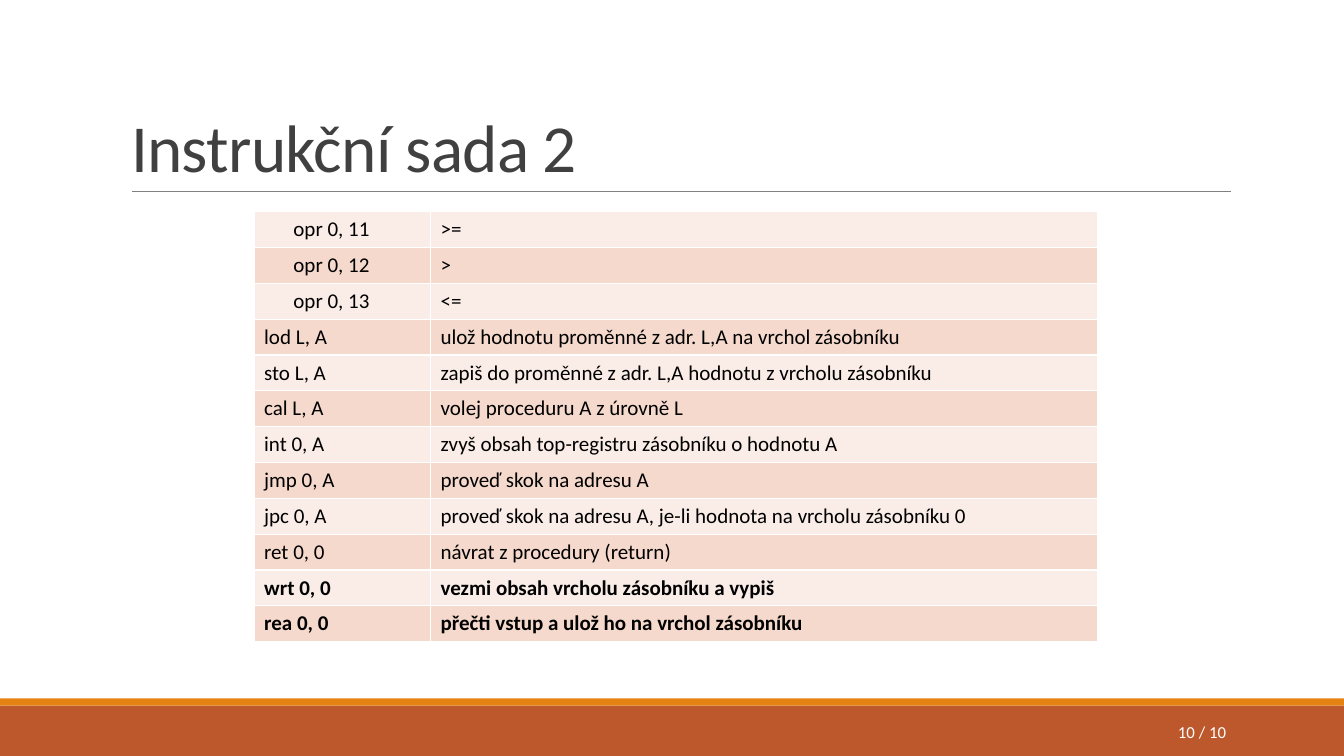
from dataclasses import dataclass

from lxml import etree
from pptx import Presentation
from pptx.dml.color import RGBColor
from pptx.enum.shapes import MSO_CONNECTOR, MSO_SHAPE
from pptx.enum.text import MSO_ANCHOR, MSO_AUTO_SIZE, PP_ALIGN
from pptx.oxml.ns import qn
from pptx.util import Inches, Pt

RECT, STRAIGHT = MSO_SHAPE.RECTANGLE, MSO_CONNECTOR.STRAIGHT
MIDDLE, BOTTOM = MSO_ANCHOR.MIDDLE, MSO_ANCHOR.BOTTOM
LEFT, RIGHT = PP_ALIGN.LEFT, PP_ALIGN.RIGHT
NO_FIT = MSO_AUTO_SIZE.NONE


@dataclass(frozen=True)
class Theme:
    font: str = "Calibri"
    title_size: float = 48
    table_size: float = 15
    number_size: float = 12
    title: str = "404040"
    text: str = "000000"
    white: str = "FFFFFF"
    rule: str = "808080"
    footer: str = "BD582C"
    accent: str = "E48312"
    bands: tuple[str, str] = ("FAEDE7", "F5D9CC")


@dataclass(frozen=True)
class Bar:
    top: float
    height: float
    color: str


@dataclass(frozen=True)
class Instruction:
    code: str
    meaning: str
    indented: bool = False
    bold: bool = False


THEME = Theme()
WIDTH, HEIGHT = 13.33, 7.5
BARS = [Bar(7, 0.5, THEME.footer), Bar(6.93, 0.07, THEME.accent)]
COLUMNS = (1.75, 6.62)
TABLE_HEIGHT = 4.25
INSTRUCTIONS = [
    Instruction("opr 0, 11", ">=", indented=True),
    Instruction("opr 0, 12", ">", indented=True),
    Instruction("opr 0, 13", "<=", indented=True),
    Instruction("lod L, A", "ulož hodnotu proměnné z adr. L,A na vrchol zásobníku"),
    Instruction("sto L, A", "zapiš do proměnné z adr. L,A hodnotu z vrcholu zásobníku"),
    Instruction("cal L, A", "volej proceduru A z úrovně L"),
    Instruction("int 0, A", "zvyš obsah top-registru zásobníku o hodnotu A"),
    Instruction("jmp 0, A", "proveď skok na adresu A"),
    Instruction("jpc 0, A", "proveď skok na adresu A, je-li hodnota na vrcholu zásobníku 0"),
    Instruction("ret 0, 0", "návrat z procedury (return)"),
    Instruction("wrt 0, 0", "vezmi obsah vrcholu zásobníku a vypiš", bold=True),
    Instruction("rea 0, 0", "přečti vstup a ulož ho na vrchol zásobníku", bold=True),
]


def rgb(color: str) -> RGBColor:
    return RGBColor.from_string(color)


def write(tf, text: str, size: float, color: str, align=LEFT, bold: bool = False):
    p = tf.paragraphs[0]
    p.alignment = align
    r = p.add_run()
    r.text = text
    r.font.color.rgb = rgb(color)
    formats = {"name": THEME.font, "size": Pt(size), "bold": bold}
    for name, value in formats.items():
        setattr(r.font, name, value)
    return p


def set_frame(tf, anchor) -> None:
    formats = {"word_wrap": True, "auto_size": NO_FIT, "vertical_anchor": anchor}
    for name, value in formats.items():
        setattr(tf, name, value)


def add_bar(slide, bar: Bar) -> None:
    sp = slide.shapes.add_shape(RECT, 0, Inches(bar.top), Inches(WIDTH), Inches(bar.height))
    sp.shadow.inherit = False
    sp.fill.solid()
    sp.fill.fore_color.rgb = rgb(bar.color)
    sp.line.fill.background()


def add_rule(slide) -> None:
    line = slide.shapes.add_connector(
        STRAIGHT, Inches(1.31), Inches(1.9), Inches(12.21), Inches(1.9))
    line.line.color.rgb = rgb(THEME.rule)
    line.line.width = Pt(0.5)
    etree.SubElement(line._element.spPr, qn("a:effectLst"))


def add_title(slide, text: str) -> None:
    sp = slide.shapes.title
    sp.left, sp.top, sp.width, sp.height = map(Inches, (1.2, 0.31, 11, 1.59))
    set_frame(sp.text_frame, BOTTOM)
    p = write(sp.text_frame, text, THEME.title_size, THEME.title)
    p.line_spacing = 0.85
    p.runs[0].font._element.set("spc", "-50")


def add_borders(cell) -> None:
    # Borders come before the fill in the cell properties
    tcPr = cell._tc.get_or_add_tcPr()
    for i, side in enumerate(("lnL", "lnR", "lnT", "lnB")):
        ln = etree.Element(qn(f"a:{side}"), w=str(Pt(1)))
        fill = etree.SubElement(ln, qn("a:solidFill"))
        etree.SubElement(fill, qn("a:srgbClr"), val=THEME.white)
        tcPr.insert(i, ln)


def fill_cell(cell, text: str, color: str, bold: bool, indented: bool) -> None:
    cell.fill.solid()
    cell.fill.fore_color.rgb = rgb(color)
    cell.vertical_anchor = MIDDLE
    add_borders(cell)
    p = write(cell.text_frame, text, THEME.table_size, THEME.text, bold=bold)
    if indented:
        pPr = p._p.get_or_add_pPr()
        pPr.set("marL", str(Inches(0.49)))
        pPr.set("indent", str(Inches(-0.2)))


def add_instruction_table(slide, instructions: list[Instruction]) -> None:
    table = slide.shapes.add_table(
        len(instructions), len(COLUMNS), Inches(2.52), Inches(2.1),
        Inches(sum(COLUMNS)), Inches(TABLE_HEIGHT)).table
    table.first_row = table.horz_banding = False
    for column, width in zip(table.columns, COLUMNS):
        column.width = Inches(width)
    for i, item in enumerate(instructions):
        color = THEME.bands[i % 2]
        fill_cell(table.cell(i, 0), item.code, color, item.bold, item.indented)
        fill_cell(table.cell(i, 1), item.meaning, color, item.bold, False)


def add_slide_number(slide, text: str) -> None:
    sp = slide.shapes.add_textbox(Inches(10.83), Inches(7.06), Inches(1.43), Inches(0.4))
    set_frame(sp.text_frame, MIDDLE)
    write(sp.text_frame, text, THEME.number_size, THEME.white, RIGHT)


def main() -> None:
    prs = Presentation()
    prs.slide_width, prs.slide_height = Inches(WIDTH), Inches(HEIGHT)
    slide = prs.slides.add_slide(prs.slide_layouts[5])

    # Footer bars and title rule
    for bar in BARS:
        add_bar(slide, bar)
    add_rule(slide)

    # Content
    add_title(slide, "Instrukční sada 2")
    add_instruction_table(slide, INSTRUCTIONS)
    add_slide_number(slide, "10 / 10")

    prs.save("out.pptx")


if __name__ == "__main__":
    main()
